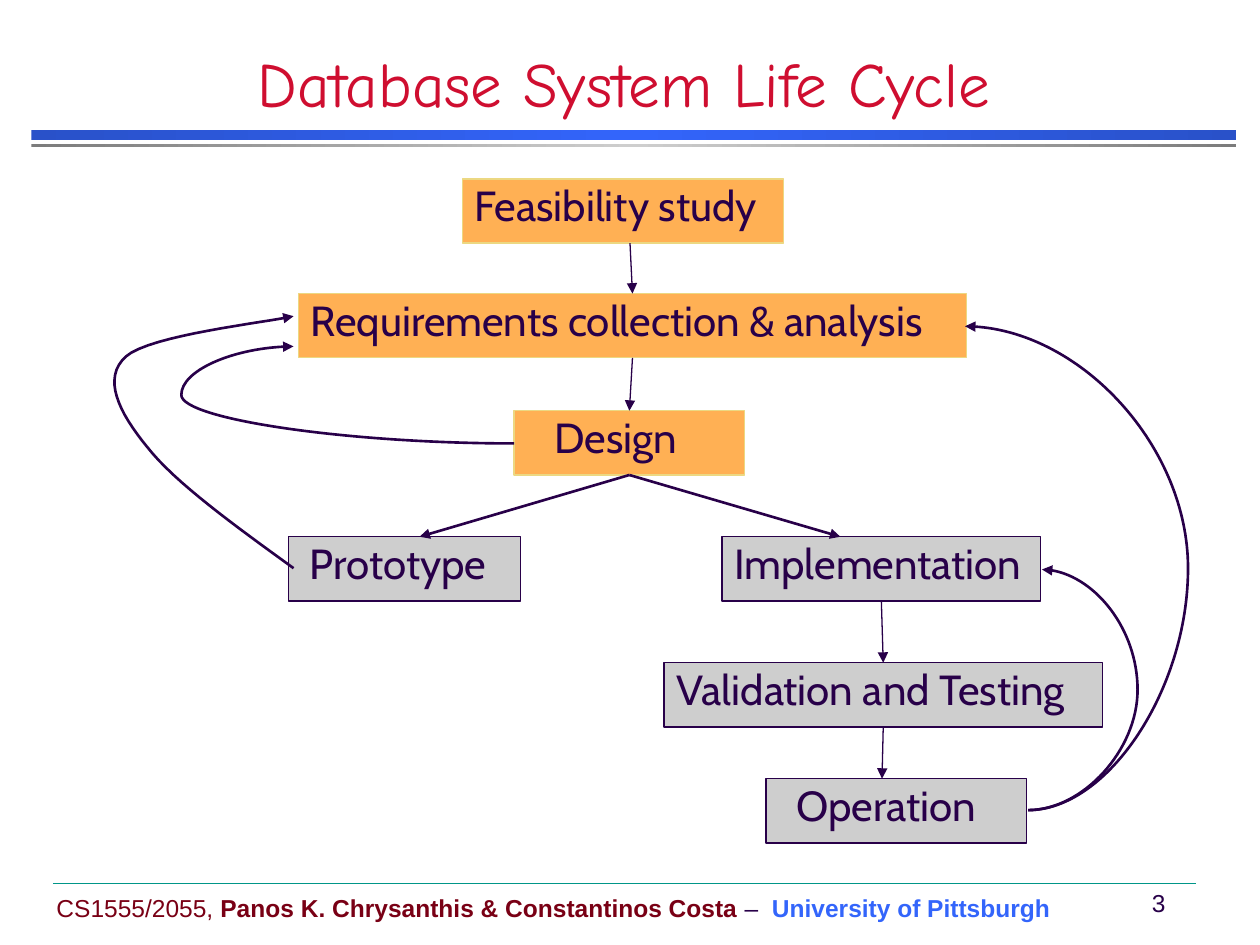
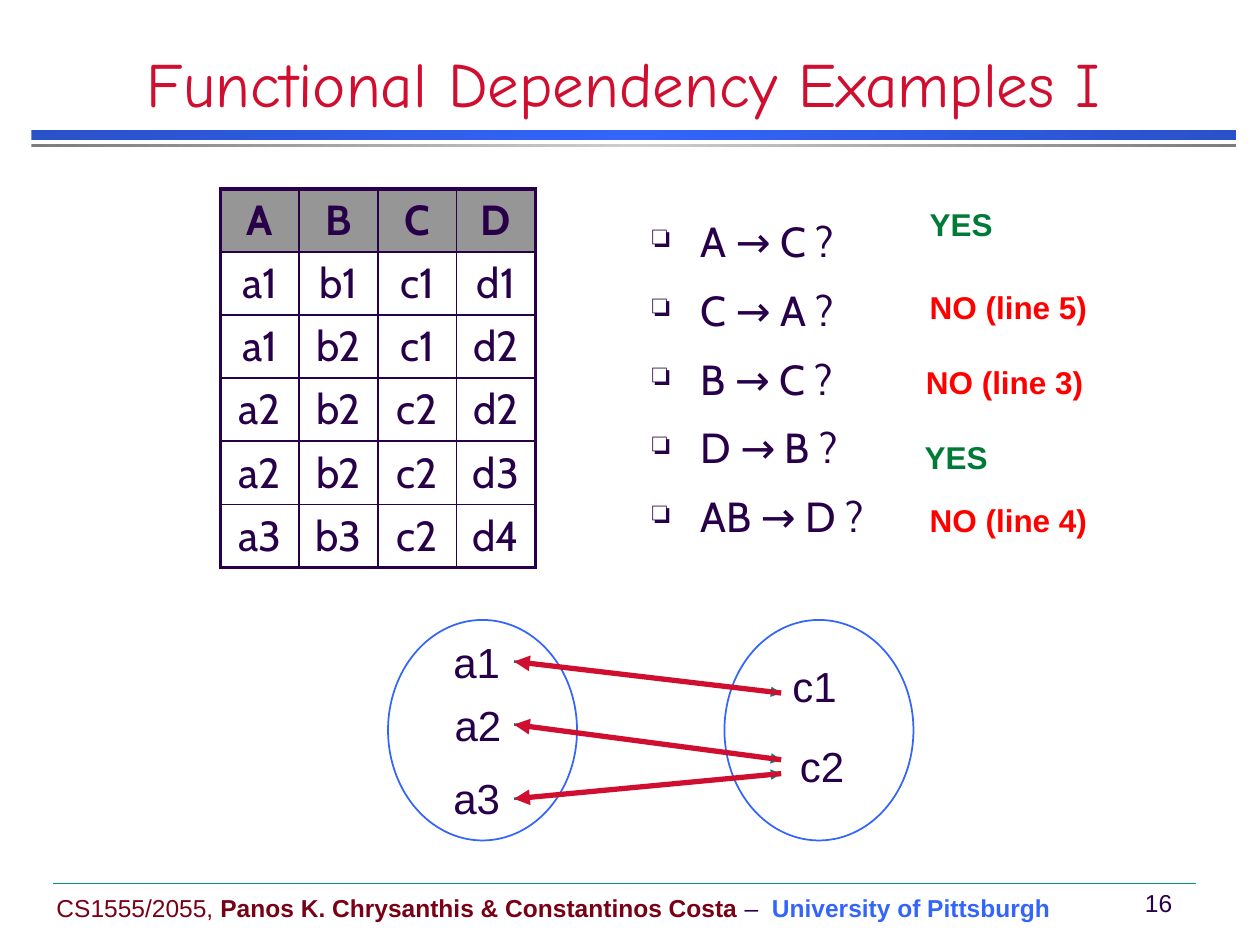
from collections import namedtuple
from dataclasses import dataclass

from lxml import etree
from pptx import Presentation
from pptx.dml.color import RGBColor
from pptx.enum import shapes, text
from pptx.oxml.ns import qn
from pptx.util import Inches, Pt


@dataclass(frozen=True)
class Theme:
    ink: str = "280049"
    red: str = "CF0E30"
    blue: str = "3365FB"
    navy: str = "2951C9"
    wine: str = "790015"
    teal: str = "009688"
    sea: str = "00877B"
    gold: str = "FFB054"
    sand: str = "ECD882"
    gray: str = "CECECE"
    steel: str = "7C7C7C"
    head: str = "969696"
    yes: str = "007A37"
    no: str = "FF0000"
    sans: str = "Arial"
    body: str = "Cabin"
    hand: str = "Comic Neue"
    title: int = 36
    main: int = 24
    label: int = 18
    small: int = 14


T = Theme()
LEFT, CENTER = text.PP_ALIGN.LEFT, text.PP_ALIGN.CENTER
TOP, MIDDLE, BOTTOM = text.MSO_ANCHOR.TOP, text.MSO_ANCHOR.MIDDLE, text.MSO_ANCHOR.BOTTOM
SHAPE, LINK = shapes.MSO_SHAPE, shapes.MSO_CONNECTOR


class Box(namedtuple("Box", "x y w h")):
    def point(self, x, y):
        return self.x + x, self.y + y

    def inner(self, x, y, w, h):
        return Box(self.x + x, self.y + y, w, h)

    def emu(self):
        return [Inches(v) for v in self]


def rgb(color):
    return RGBColor.from_string(color)


def sub(parent, tag, **attrs):
    return etree.SubElement(parent, qn(tag), {k: str(v) for k, v in attrs.items()})


def write(frame, words, size=T.main, font=T.body, color=T.ink, bold=False,
          align=LEFT, anchor=TOP, inset=0.1, lines=None, lead=0, bullet=None):
    frame.word_wrap = True
    frame.vertical_anchor = anchor
    frame.margin_left = Inches(inset)
    frame.margin_right = Inches(inset if align == CENTER else 0)
    for i, item in enumerate(words if isinstance(words, list) else [words]):
        para = frame.add_paragraph() if i else frame.paragraphs[0]
        para.alignment = align
        if lines:
            para.line_spacing = lines
        props = para._p.get_or_add_pPr()
        if lead:
            sub(sub(props, "a:spcBef"), "a:spcPct", val=lead * 1000)
        if bullet:
            gap = Inches(0.38)
            props.set("marL", str(gap))
            props.set("indent", str(-gap))
            sub(sub(props, "a:buClr"), "a:srgbClr", val=color)
            sub(props, "a:buSzPct", val=75000)
            sub(props, "a:buChar", char=bullet)
        runs = item if isinstance(item, tuple) else ((item, color, bold),)
        for phrase, tint, heavy in runs:
            run = para.add_run()
            run.text = phrase
            run.font.name, run.font.size = font, Pt(size)
            run.font.bold = heavy
            run.font.color.rgb = rgb(tint)


def label(slide, box, words, **style):
    write(slide.shapes.add_textbox(*box.emu()).text_frame, words, **style)


def form(slide, kind, box, fill=None, line=None, width=0.75):
    shape = slide.shapes.add_shape(kind, *box.emu())
    shape.shadow.inherit = False
    if fill:
        shape.fill.solid()
        shape.fill.fore_color.rgb = rgb(fill)
    else:
        shape.fill.background()
    if line:
        stroke(shape, line, width)
    else:
        shape.line.fill.background()
    return shape


def stroke(shape, color, width, head=None, tail=None):
    shape.line.color.rgb = rgb(color)
    shape.line.width = Pt(width)
    ln = shape._element.spPr.find(qn("a:ln"))
    if head:
        sub(ln, "a:headEnd", type=head)
    if tail:
        sub(ln, "a:tailEnd", type=tail)


def link(slide, start, end, color=T.ink, width=0.75, begin=None, finish=None,
         bend=None, **ends):
    kind = LINK.STRAIGHT if bend is None else LINK.CURVE
    wire = slide.shapes.add_connector(kind, *[Inches(v) for v in (*start, *end)])
    stroke(wire, color, width, **ends)
    sub(wire._element.spPr, "a:effectLst")
    if bend is not None:
        geom = wire._element.spPr.find(qn("a:prstGeom"))
        grip = geom.find(qn("a:avLst"))
        if grip is None:
            grip = sub(geom, "a:avLst")
        ratio = (bend - start[0]) / (end[0] - start[0])
        sub(grip, "a:gd", name="adj1", fmla=f"val {round(ratio * 100000)}")
    if begin:
        wire.begin_connect(*begin)
    if finish:
        wire.end_connect(*finish)


def band(slide, box, edge, core):
    shape = form(slide, SHAPE.RECTANGLE, box)
    shape.fill.gradient()
    shape.fill.gradient_angle = 0
    stops = shape._element.spPr.find(".//" + qn("a:gsLst"))
    for stop in list(stops):
        stops.remove(stop)
    for pos, color in ((0, edge), (50, core), (100, edge)):
        sub(sub(stops, "a:gs", pos=pos * 1000), "a:srgbClr", val=color)


def header(slide, box, title):
    label(slide, box.inner(0, 0, 9.9, 0.58), title, size=T.title, font=T.hand,
          color=T.red, align=CENTER, anchor=BOTTOM)
    band(slide, box.inner(0.25, 0.61, 9.56, 0.08), T.navy, T.blue)
    band(slide, box.inner(0.25, 0.72, 9.56, 0.03), T.steel, T.gray)


def footer(slide, box, number):
    link(slide, box.point(0.07, 0.01), box.point(9.14, 0.01), T.teal, 0.25)
    credit = (("CS1555/2055, ", T.wine, False),
              ("Panos K. Chrysanthis & Constantinos Costa", T.wine, True),
              (" –  ", T.ink, False),
              ("University of Pittsburgh", T.blue, True))
    style = dict(size=T.small, font=T.sans, anchor=MIDDLE)
    label(slide, box.inner(0, 0.04, 8.2, 0.33), credit, **style)
    label(slide, box.inner(8.6, 0, 0.49, 0.33), str(number), align=CENTER, **style)


def cubic(start, bends, steps=16):
    points = [start]
    for one, two, end in bends:
        a = points[-1]
        for i in range(1, steps + 1):
            t = i / steps
            s = 1 - t
            points.append(tuple(
                s**3 * p + 3 * s * s * t * q + 3 * s * t * t * r + t**3 * e
                for p, q, r, e in zip(a, one, two, end)))
    return points


def cycle(slide, box):
    def stage(name, x, y, w, fill, line, inset=0.1):
        shape = form(slide, SHAPE.RECTANGLE, box.inner(x, y, w, 0.51), fill, line)
        write(shape.text_frame, name, lines=0.9, lead=20, inset=inset)
        return shape

    plan, build = (T.gold, T.sand), (T.gray, T.ink)
    stage("Feasibility study", 2.87, 0, 2.55, *plan)
    needs = stage("Requirements collection & analysis", 1.57, 0.91, 5.3, *plan)
    design = stage("Design", 3.28, 1.84, 1.83, *plan, inset=0.32)
    stage("Prototype", 1.49, 2.84, 1.84, *build, inset=0.17)
    code = stage("Implementation", 4.93, 2.84, 2.53, *build)
    test = stage("Validation and Testing", 4.47, 3.84, 3.48, *build)
    stage("Operation", 5.28, 4.76, 2.07, *build, inset=0.24)

    def arrow(start, end, **style):
        link(slide, box.point(*start), box.point(*end), tail="triangle", **style)

    arrow((4.2, 0.51), (4.2, 0.91), finish=(needs, 0))
    arrow((4.2, 1.42), (4.2, 1.84), begin=(needs, 2), finish=(design, 0))
    arrow((6.2, 3.35), (6.2, 3.84), begin=(code, 2), finish=(test, 0))
    arrow((6.2, 4.35), (6.2, 4.76), begin=(test, 2))
    for x in (2.53, 5.87):
        arrow((4.2, 2.35), (x, 2.84), width=1.5, begin=(design, 2))
    for start, end, bend in (((3.28, 2.1), (1.53, 1.33), 0.64),
                             ((7.36, 5.01), (6.86, 1.17), 8.63),
                             ((7.36, 5.01), (7.47, 3.1), 8.23)):
        arrow(start, end, width=1.5, bend=box.x + bend)

    trail = cubic((1.53, 3.09), (((1.06, 2.75), (0.59, 2.41), (0.37, 2.13)),
                                 ((0.14, 1.85), (0.01, 1.58), (0.2, 1.41)),
                                 ((0.39, 1.24), (1.31, 1.14), (1.53, 1.09))))
    spots = [tuple(Inches(v) for v in box.point(*p)) for p in trail]
    pen = slide.shapes.build_freeform(*spots[0])
    pen.add_line_segments(spots[1:], close=False)
    loop = pen.convert_to_shape()
    loop.shadow.inherit = False
    loop.fill.background()
    stroke(loop, T.ink, 1.5, tail="triangle")


def border(cell, sides):
    props = cell._tc.get_or_add_tcPr()
    for i, (side, width) in enumerate(sides):
        ln = etree.Element(qn("a:ln" + side), {"w": str(Pt(width))})
        sub(sub(ln, "a:solidFill"), "a:srgbClr", val=T.ink)
        props.insert(i, ln)


def grid(slide, box, rows):
    high, wide = len(rows), len(rows[0])
    table = slide.shapes.add_table(high, wide, *box.emu()).table
    table.first_row = table.horz_banding = False
    for r, row in enumerate(rows):
        for c, word in enumerate(row):
            cell = table.cell(r, c)
            write(cell.text_frame, word, bold=r == 0, align=CENTER, lead=20)
            if r:
                cell.fill.background()
            else:
                cell.fill.solid()
                cell.fill.fore_color.rgb = rgb(T.head)
            outer = (("L", c == 0), ("R", c == wide - 1),
                     ("T", r == 0), ("B", r == high - 1))
            border(cell, [(side, 2.25 if edge else 1) for side, edge in outer])


def quiz(slide, box):
    asks = ["A → C ?", "C → A ?", "B → C ?", "D → B ?", "AB → D ?"]
    label(slide, box.inner(0, 0, 4.33, 2.75), asks, lines=1.2, lead=20, bullet="❏")
    for word, x, y in (("YES", 2.2, 0), ("NO (line 5)", 2.2, 0.66),
                       ("NO (line 3)", 2.17, 1.25), ("YES", 2.16, 1.85),
                       ("NO (line 4)", 2.2, 2.35)):
        label(slide, box.inner(x, y, 1.53, 0.4), word, size=T.label, font=T.sans,
              bold=True, color=T.yes if word == "YES" else T.no)


def sets(slide, box):
    for x in (0, 2.67):
        form(slide, SHAPE.OVAL, box.inner(x, 0, 1.5, 1.75), line=T.blue, width=1)
    for name, x, y in (("a1", 0.42, 0.08), ("a2", 0.43, 0.58), ("a3", 0.42, 1.16),
                       ("c1", 3.11, 0.27), ("c2", 3.17, 0.91)):
        label(slide, box.inner(x, y, 0.58, 0.5), name, font=T.sans)
    pairs = ((0.33, 0.58), (0.83, 1.11), (1.42, 1.22))
    for color, width, end in ((T.sea, 1.5, "tail"), (T.red, 3, "head")):
        for left, right in pairs:
            link(slide, box.point(1, left), box.point(3.12, right), color, width,
                 **{end: "triangle"})


def page(deck, title, number):
    slide = deck.slides.add_slide(deck.slide_layouts[6])
    header(slide, Box(0, 0.42, 10, 0.75), title)
    footer(slide, Box(0.35, 7, 9.3, 0.37), number)
    return slide


def main():
    deck = Presentation()
    deck.slide_width, deck.slide_height = Inches(10), Inches(7.5)

    life = page(deck, "Database System Life Cycle", 3)
    cycle(life, Box(0.8, 1.42, 8.63, 5.27))

    rules = page(deck, "Functional Dependency Examples I", 16)
    rows = ["A B C D", "a1 b1 c1 d1", "a1 b2 c1 d2",
            "a2 b2 c2 d2", "a2 b2 c2 d3", "a3 b3 c2 d4"]
    grid(rules, Box(1.75, 1.5, 2.5, 3), [row.split() for row in rows])
    quiz(rules, Box(5.08, 1.58, 4.33, 2.75))
    sets(rules, Box(3.08, 4.92, 4.17, 1.75))
    deck.save("out.pptx")


if __name__ == "__main__":
    main()
